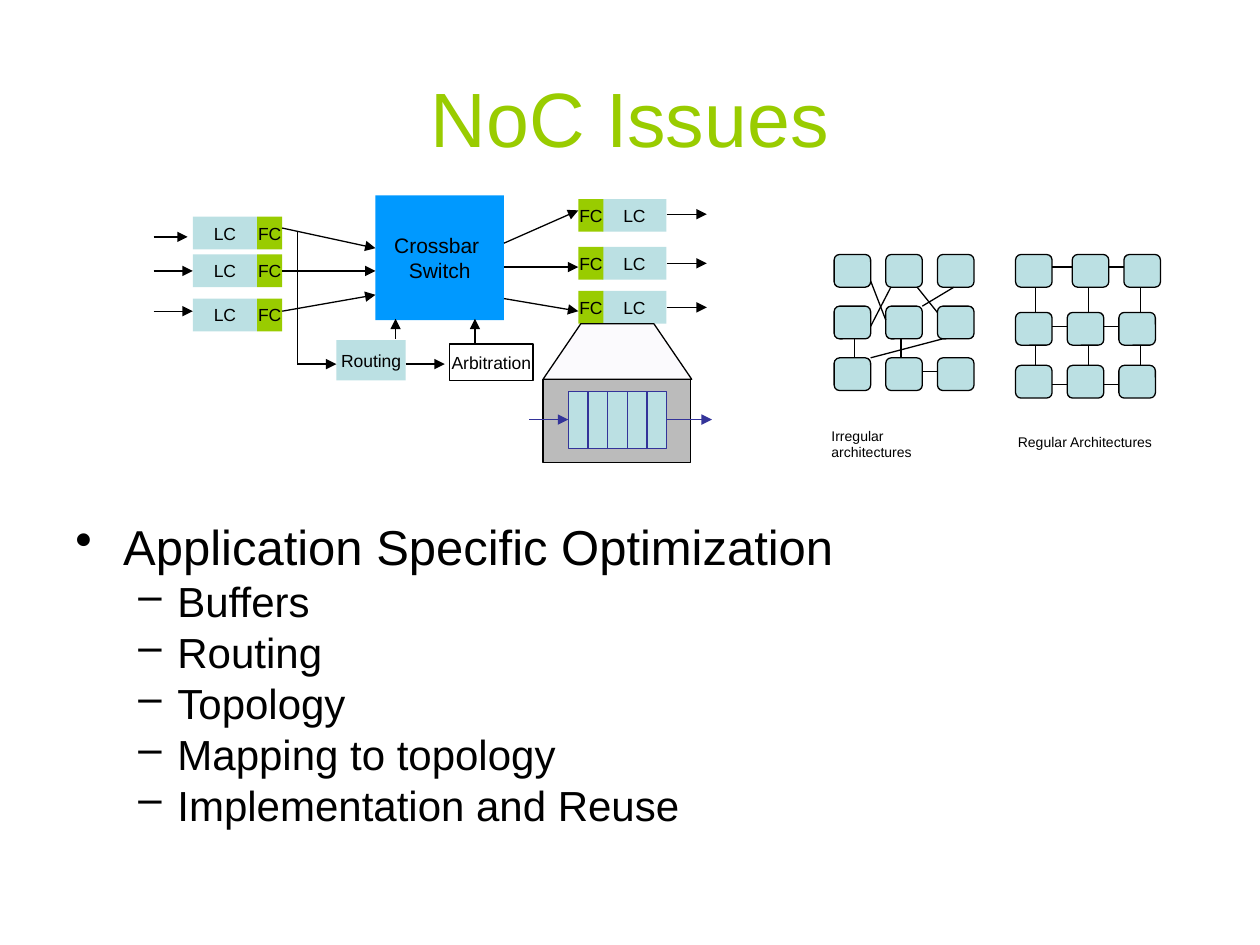
import pptx
import pptx.util
import pptx.dml.color
import pptx.enum.shapes
import pptx.enum.text
import pptx.oxml.ns
from lxml import etree

Inches = pptx.util.Inches
Pt = pptx.util.Pt
qn = pptx.oxml.ns.qn
SHAPES = pptx.enum.shapes.MSO_SHAPE
ALIGN = pptx.enum.text.PP_ALIGN
ANCHOR = pptx.enum.text.MSO_ANCHOR

COLORS = {
    "ink": "000000", "paper": "FFFFFF", "green": "99CC00", "pale": "BBE0E3",
    "blue": "0099FF", "navy": "333399", "grey": "B2B2B2", "lilac": "DFDEF6",
}
CELL_W, CELL_H = 0.29, 0.26
LC_W, FC_W, PORT_H = 0.51, 0.2, 0.26


def rgb(name):
    return pptx.dml.color.RGBColor.from_string(COLORS[name])


def style_font(paragraph, size, color="ink"):
    paragraph.font.name = "Arial"
    paragraph.font.size = Pt(size)
    paragraph.font.color.rgb = rgb(color)


def paint(shape, fill, line=None, alpha=None):
    shape.shadow.inherit = False
    shape.fill.solid()
    shape.fill.fore_color.rgb = rgb(fill)
    if alpha is not None:
        color = shape.fill._xPr.find(qn("a:solidFill"))[0]
        etree.SubElement(color, qn("a:alpha"), val=str(alpha * 1000))
    if line:
        shape.line.color.rgb = rgb(line)
        shape.line.width = Pt(0.75)
    else:
        shape.line.fill.background()


def add_block(slide, box, fill, line=None, text="", size=10, alpha=None,
              kind=SHAPES.RECTANGLE):
    block = slide.shapes.add_shape(kind, *map(Inches, box))
    paint(block, fill, line, alpha)
    if text:
        frame = block.text_frame
        frame.word_wrap = False
        frame.vertical_anchor = ANCHOR.MIDDLE
        frame.text = text
        for paragraph in frame.paragraphs:
            paragraph.alignment = ALIGN.CENTER
            style_font(paragraph, size)


def add_wire(slide, x1, y1, x2, y2, color="ink", arrow=False):
    wire = slide.shapes.add_connector(
        pptx.enum.shapes.MSO_CONNECTOR.STRAIGHT, *map(Inches, (x1, y1, x2, y2)))
    wire.line.color.rgb = rgb(color)
    wire.line.width = Pt(0.75)
    if arrow:
        etree.SubElement(wire.line._get_or_add_ln(), qn("a:tailEnd"), type="triangle")
    etree.SubElement(wire._element.spPr, qn("a:effectLst"))


def add_wires(slide, wires, **style):
    for wire in wires:
        add_wire(slide, *wire, **style)


def add_label(slide, box, text, size, color="ink", wrap=True):
    label = slide.shapes.add_textbox(*map(Inches, box))
    frame = label.text_frame
    frame.word_wrap = wrap
    frame.text = text
    style_font(frame.paragraphs[0], size, color)
    return frame


def add_title(slide):
    frame = add_label(slide, (0.5, 0.3, 9, 1.25), "NoC Issues", 44, "green")
    frame.vertical_anchor = ANCHOR.MIDDLE
    frame.paragraphs[0].alignment = ALIGN.CENTER


def add_caption(slide, box, text):
    frame = add_label(slide, box, text, 8, wrap=False)
    frame.auto_size = pptx.enum.text.MSO_AUTO_SIZE.SHAPE_TO_FIT_TEXT


def add_bullet(paragraph, mark, margin, hanging):
    properties = paragraph._p.get_or_add_pPr()
    properties.set("marL", str(Inches(margin)))
    properties.set("indent", str(-Inches(hanging)))
    etree.SubElement(properties, qn("a:buChar"), char=mark)


def add_outline(slide, heading, topics):
    frame = add_label(slide, (0.5, 4.14, 9, 2.56), "\n".join([heading, *topics]), 28)
    for index, paragraph in enumerate(frame.paragraphs):
        paragraph.line_spacing = 0.8
        if index == 0:
            paragraph.space_before = Pt(7)
            add_bullet(paragraph, "•", 0.38, 0.38)
        else:
            paragraph.level = 1
            paragraph.space_before = Pt(6)
            style_font(paragraph, 24)
            add_bullet(paragraph, "–", 0.81, 0.31)


def add_cells(slide, rows):
    for top, lefts in rows:
        for left in lefts:
            add_block(slide, (left, top, CELL_W, CELL_H), "pale", "ink",
                      kind=SHAPES.ROUNDED_RECTANGLE)


def add_irregular_network(slide):
    columns = [6.62, 7.03, 7.44]
    add_cells(slide, [(top, columns) for top in (2.02, 2.43, 2.84)])
    add_wires(slide, [
        (6.91, 2.23, 7.03, 2.54), (6.78, 2.69, 6.78, 2.84),
        (6.91, 2.84, 7.48, 2.69), (7.15, 2.69, 7.15, 2.84),
        (6.91, 2.59, 7.07, 2.28), (7.28, 2.28, 7.44, 2.48),
        (7.32, 2.43, 7.57, 2.28), (7.32, 2.95, 7.44, 2.95),
    ])
    add_caption(slide, (6.5, 3.34, 1.28, 0.24), "Irregular architectures")


def add_regular_network(slide):
    columns = [8.06, 8.47, 8.88]
    rows = [(2.02, [8.06, 8.51, 8.92]), (2.48, columns), (2.9, columns)]
    add_cells(slide, rows)
    for (_, lefts), y in zip(rows, (2.12, 2.59, 3.05)):
        for left, right in zip(lefts, lefts[1:]):
            add_wire(slide, left + CELL_W, y, right, y)
    for x in (8.22, 8.64, 9.05):
        add_wires(slide, [(x, 2.28, x, 2.48), (x, 2.74, x, 2.9)])
    add_caption(slide, (7.98, 3.39, 1.27, 0.24), "Regular Architectures")


def add_port(slide, top, lc_left, fc_left):
    add_block(slide, (lc_left, top, LC_W, PORT_H), "pale", text="LC")
    add_block(slide, (fc_left, top, FC_W, PORT_H), "green", text="FC")


def add_router(slide):
    add_block(slide, (2.98, 1.55, 1.02, 0.99), "blue", text="Crossbar \nSwitch", size=12)
    for top in (1.72, 2.02, 2.37):
        add_port(slide, top, 1.53, 2.04)
    for top in (1.58, 1.96, 2.31):
        add_port(slide, top, 4.78, 4.59)
    add_block(slide, (2.67, 2.7, 0.55, 0.32), "pale", text="Routing")
    add_block(slide, (3.57, 2.73, 0.66, 0.29), "paper", "ink", "Arbitration")

    inputs = [(1.22, 1.88, 1.49, 1.88), (1.22, 2.15, 1.53, 2.15), (1.22, 2.47, 1.53, 2.47)]
    to_switch = [(2.24, 1.81, 2.98, 1.97), (2.24, 2.15, 2.98, 2.15), (2.24, 2.47, 2.98, 2.34)]
    from_switch = [(4, 1.93, 4.59, 1.67), (4, 2.12, 4.59, 2.12), (4, 2.37, 4.59, 2.47)]
    outputs = [(5.29, y, 5.61, y) for y in (1.7, 2.09, 2.44)]
    control = [(2.36, 2.89, 2.67, 2.89), (3.22, 2.89, 3.53, 2.89),
               (3.14, 2.69, 3.14, 2.53), (3.77, 2.73, 3.77, 2.53)]
    add_wires(slide, inputs + to_switch + from_switch + outputs + control, arrow=True)
    add_wire(slide, 2.36, 1.84, 2.36, 2.89)


def add_buffer_detail(slide):
    left, top, width, height, slots = 4.51, 3.11, 0.78, 0.45, 5
    add_block(slide, (4.31, 3.01, 1.17, 0.66), "grey", "ink", alpha=88)
    add_block(slide, (left, top, width, height), "pale", "navy")
    for slot in range(1, slots):
        x = left + slot * width / slots
        add_wire(slide, x, top, x, top + height, "navy")
    add_wires(slide, [(4.2, 3.33, 4.51, 3.33), (5.29, 3.33, 5.65, 3.33)],
              color="navy", arrow=True)

    corners = [(Inches(x), Inches(y)) for x, y in
               [(4.31, 3.01), (5.49, 3.01), (5.19, 2.57), (4.61, 2.57)]]
    zoom = slide.shapes.build_freeform(*corners[0])
    zoom.add_line_segments(corners[1:], close=True)
    paint(zoom.convert_to_shape(), "lilac", "ink", alpha=12)


def main():
    deck = pptx.Presentation()
    deck.slide_width, deck.slide_height = Inches(10), Inches(7.5)
    slide = deck.slides.add_slide(deck.slide_layouts[6])
    add_title(slide)
    add_outline(slide, "Application Specific Optimization",
                ["Buffers", "Routing", "Topology", "Mapping to topology",
                 "Implementation and Reuse"])
    add_irregular_network(slide)
    add_regular_network(slide)
    add_router(slide)
    add_buffer_detail(slide)
    deck.save("out.pptx")


if __name__ == "__main__":
    main()
